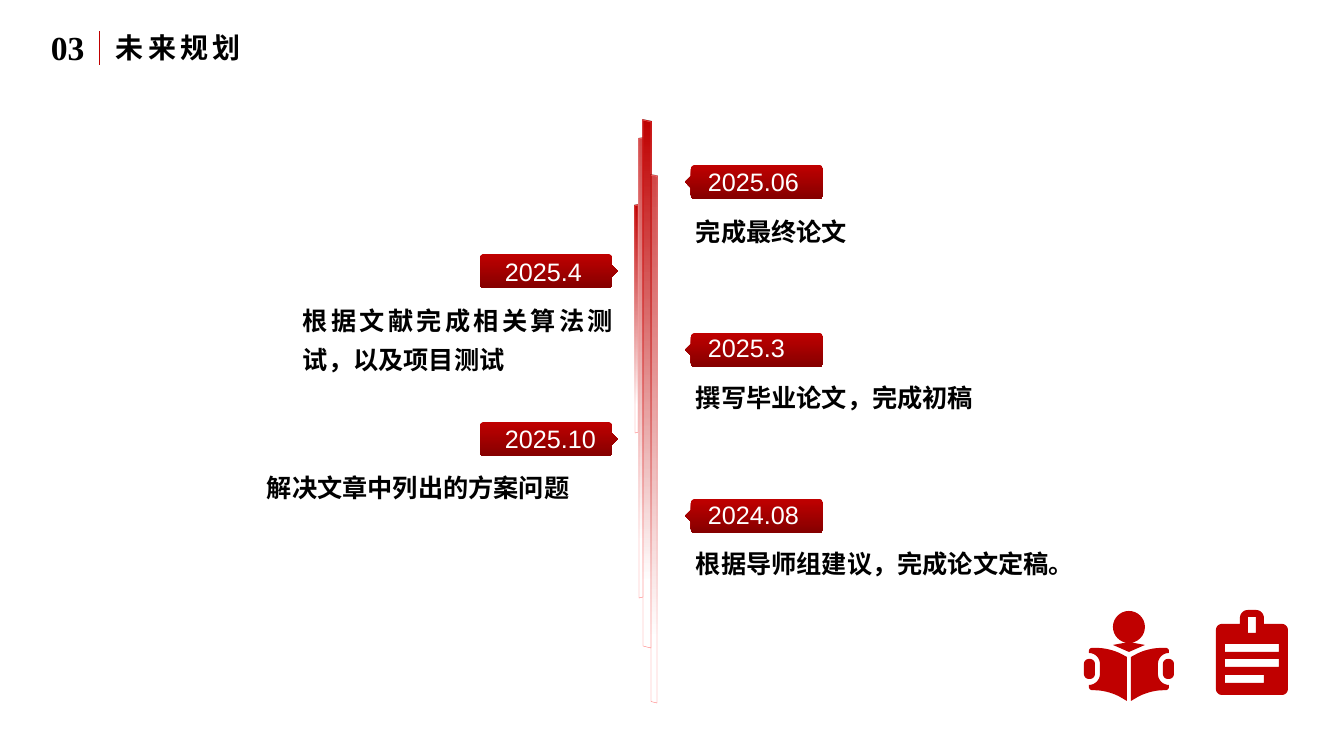
import pptx
import pptx.dml.color
import pptx.enum.shapes
import pptx.enum.text
import pptx.oxml
import pptx.oxml.ns
import pptx.util

PX = 914400 / 100.8
RED, DARK_RED, PINK, BLACK, WHITE = "C00000", "850000", "FF7676", "000000", "FFFFFF"
CJK, LATIN, SERIF = "Noto Sans CJK SC", "Arial", "Times New Roman"

# left, top, thickness, length, opacity at the top, flipped
BARS = [
    (639, 138, 4, 460, 72, True),
    (643, 120, 8, 528, 100, False),
    (651, 175, 6, 528, 72, False),
    (635, 205, 3, 228, 100, True),
]

# date, side of the axis, tag top, date box (left, top, width), plan, plan box
MILESTONES = [
    ("2025.06", "right", 165, (698, 161, 111), "完成最终论文", (686, 202, 504, 49)),
    ("2025.4", "left", 254, (495, 251, 97),
     "根据文献完成相关算法测试，以及项目测试", (293, 291, 330, 41)),
    ("2025.3", "right", 333, (698, 327, 97), "撰写毕业论文，完成初稿", (686, 368, 504, 90)),
    ("2025.10", "left", 422, (495, 418, 111),
     "解决文章中列出的方案问题", (257, 458, 359, 49)),
    ("2024.08", "right", 499, (698, 494, 111),
     "根据导师组建议，完成论文定稿。", (686, 534, 426, 49)),
]
TAG_LEFT = {"right": 685, "left": 480}
TAG_W, TAG_H, TAG_TIP = 138, 34, 6

# Outlines are lists of corners: x, y, rounding radius
CLIPBOARD = [(1216, 624, 6), (1240, 624, 0), (1240, 610, 8), (1264, 610, 8),
             (1264, 624, 0), (1288, 624, 6), (1288, 695, 6), (1216, 695, 6)]
CLIPBOARD_HOLES = [(1248, 617, 1256, 633), (1225, 644, 1279, 652),
                   (1225, 659, 1279, 667), (1225, 675, 1264, 683)]
READER_AXIS = 1129
COLLAR = [(1129, 652, 0), (1113, 645, 0), (1124, 643, 0), (1134, 643, 0), (1145, 645, 0)]
PAGE = [(1089, 648, 3), (1110, 648, 12), (1127, 657, 0), (1127, 701, 0), (1110, 691, 12),
        (1089, 690, 3), (1089, 685, 0), (1100, 685, 11), (1100, 653, 11), (1089, 653, 0)]


def emu(px):
    return pptx.util.Emu(round(px * PX))


def rgb(value):
    return pptx.dml.color.RGBColor.from_string(value)


def box(left, top, right, bottom, radius=0):
    return [(left, top, radius), (right, top, radius),
            (right, bottom, radius), (left, bottom, radius)]


def mirror(corners, axis):
    return [(2 * axis - x, y, radius) for x, y, radius in corners]


def toward(a, b, distance):
    length = ((b[0] - a[0]) ** 2 + (b[1] - a[1]) ** 2) ** 0.5
    return [a[i] + (b[i] - a[i]) * distance / length for i in (0, 1)]


def rounded(corners, steps=8):
    """Turn corners into EMU points, with each rounded corner as a short arc."""
    points = []
    for i, corner in enumerate(corners):
        before, after, radius = corners[i - 1], corners[(i + 1) % len(corners)], corner[2]
        if not radius:
            points.append((emu(corner[0]), emu(corner[1])))
            continue
        a, d = toward(corner, before, radius), toward(corner, after, radius)
        b, c = toward(corner, before, radius * 0.45), toward(corner, after, radius * 0.45)
        for t in (n / steps for n in range(steps + 1)):
            u = 1 - t
            points.append(tuple(
                emu(u**3 * a[k] + 3 * u * u * t * b[k] + 3 * u * t * t * c[k] + t**3 * d[k])
                for k in (0, 1)))
    return points


def add_outline(slide, outlines):
    first, *others = [rounded(corners) for corners in outlines]
    builder = slide.shapes.build_freeform(*first[0], scale=1.0)
    builder.add_line_segments(first[1:], close=True)
    for points in others:
        builder.move_to(*points[0])
        builder.add_line_segments(points[1:], close=True)
    s = builder.convert_to_shape()
    s.shadow.inherit = False
    s.fill.solid()
    s.fill.fore_color.rgb = rgb(RED)
    s.line.fill.background()
    return s


def fill_gradient(s, stops, angle):
    """Fill with stops of (position %, colour, opacity %)."""
    s.fill.gradient()
    grad = s._element.spPr.find(pptx.oxml.ns.qn("a:gradFill"))
    stop_xml = "".join(
        f'<a:gs pos="{pos * 1000}"><a:srgbClr val="{color}">'
        f'<a:alpha val="{opacity * 1000}"/></a:srgbClr></a:gs>'
        for pos, color, opacity in stops)
    grad.getparent().replace(grad, pptx.oxml.parse_xml(
        f'<a:gradFill {pptx.oxml.ns.nsdecls("a")} rotWithShape="1"><a:gsLst>{stop_xml}</a:gsLst>'
        f'<a:lin ang="{angle * 60000}" scaled="0"/></a:gradFill>'))


def add_text(slide, text, frame, size, font, color, bold=False, wrap=False, spacing=0):
    tf = slide.shapes.add_textbox(*map(emu, frame)).text_frame
    tf.word_wrap = wrap
    p = tf.paragraphs[0]
    p.text = text
    if wrap:
        p.alignment = pptx.enum.text.PP_ALIGN.JUSTIFY
        p.line_spacing = 1.3
        p._p.get_or_add_pPr().set("hangingPunct", "0")
    else:
        tf.auto_size = pptx.enum.text.MSO_AUTO_SIZE.SHAPE_TO_FIT_TEXT
    p.font.size = pptx.util.Pt(size)
    p.font.name = font
    p.font.bold = bold
    p.font.color.rgb = rgb(color)
    props = p.font._element
    if spacing:
        props.set("spc", str(spacing * 100))
    props.find(pptx.oxml.ns.qn("a:latin")).addnext(pptx.oxml.parse_xml(
        f'<a:ea {pptx.oxml.ns.nsdecls("a")} typeface="{font}"/>'))


def add_header(slide):
    add_text(slide, "03", (41, 22, 54, 50), 24, SERIF, BLACK, bold=True)
    s = slide.shapes.add_connector(
        pptx.enum.shapes.MSO_CONNECTOR.STRAIGHT, emu(99), emu(31), emu(99), emu(65))
    s.line.color.rgb = rgb(RED)
    s.line.width = pptx.util.Pt(0.5)
    s._element.spPr.append(pptx.oxml.parse_xml(
        f'<a:effectLst {pptx.oxml.ns.nsdecls("a")}/>'))
    add_text(slide, "未来规划", (106, 26, 149, 44), 20, CJK, BLACK, bold=True, spacing=3)


def add_bar(slide, left, top, thickness, length, opacity, flipped):
    """Draw a lying parallelogram and turn it upright about its centre."""
    shift = (length - thickness) / 2
    s = slide.shapes.add_shape(
        pptx.enum.shapes.MSO_SHAPE.PARALLELOGRAM,
        emu(left - shift), emu(top + shift), emu(length), emu(thickness))
    s.rotation = 90
    if flipped:
        s._element.spPr.xfrm.set("flipV", "1")
    s.shadow.inherit = False
    fill_gradient(s, [(0, RED, opacity), (87, RED, 0)], 0)
    s.line.color.rgb = rgb(PINK)
    s.line.width = pptx.util.Pt(0.25)


def add_milestone(slide, date, side, top, date_box, plan, plan_box):
    left, middle = TAG_LEFT[side], top + TAG_H / 2
    tag = box(left + TAG_TIP, top, left + TAG_W, top + TAG_H, 4) + [
        (left + TAG_TIP, middle + 6, 0), (left, middle, 0), (left + TAG_TIP, middle - 6, 0)]
    if side == "left":
        tag = mirror(tag, left + TAG_W / 2)
    fill_gradient(add_outline(slide, [tag]), [(0, RED, 100), (100, DARK_RED, 100)], 90)
    add_text(slide, date, (*date_box, 40), 18, LATIN, WHITE)
    add_text(slide, plan, plan_box, 18, CJK, BLACK, bold=True, wrap=True)


def main():
    prs = pptx.Presentation()
    prs.slide_width, prs.slide_height = emu(1344), emu(756)
    slide = prs.slides.add_slide(prs.slide_layouts[6])
    add_header(slide)
    for bar in BARS:
        add_bar(slide, *bar)
    add_outline(slide, [CLIPBOARD] + [box(*hole) for hole in CLIPBOARD_HOLES])
    head, hand = box(1113, 611, 1145, 643, 16), box(1084, 659, 1095, 679, 5)
    add_outline(slide, [head, COLLAR, hand, mirror(hand, READER_AXIS),
                        PAGE, mirror(PAGE, READER_AXIS)])
    for milestone in MILESTONES:
        add_milestone(slide, *milestone)
    prs.save("out.pptx")


if __name__ == "__main__":
    main()
